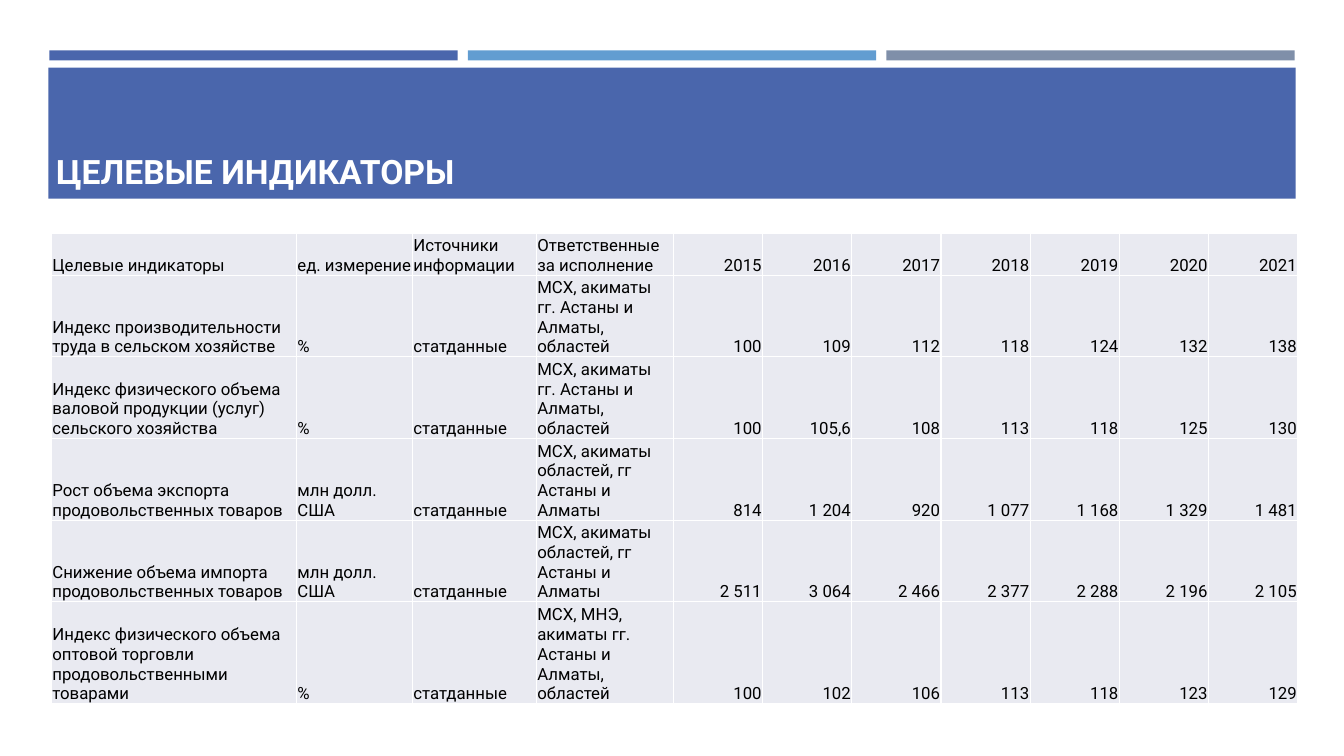
import pptx
import pptx.util
import pptx.dml.color
import pptx.enum.shapes
import pptx.enum.text
import pptx.oxml.ns
import lxml.etree

Inches = pptx.util.Inches
RGBColor = pptx.dml.color.RGBColor
Align = pptx.enum.text.PP_ALIGN
Anchor = pptx.enum.text.MSO_ANCHOR
qn = pptx.oxml.ns.qn

BLUE = RGBColor(0x4A, 0x66, 0xAC)
SKY = RGBColor(0x62, 0x9D, 0xD1)
GREY = RGBColor(0x7F, 0x8F, 0xA9)
PALE = RGBColor(0xE9, 0xEA, 0xF1)
WHITE = RGBColor(0xFF, 0xFF, 0xFF)
BLACK = RGBColor(0, 0, 0)
FONT = "Roboto"


def write(frame, text, size=12, color=BLACK, bold=False, align=Align.LEFT):
    line = frame.paragraphs[0]
    line.alignment = align
    run = line.add_run()
    run.text = text
    run.font.name = FONT
    run.font.size = pptx.util.Pt(size)
    run.font.bold = bold
    run.font.color.rgb = color


class Page:
    def __init__(self, slide):
        self.slide = slide
        self.pad = Inches(0.01)
        self.edge = WHITE

    def bar(self, left, top, width, height, color):
        shape = self.slide.shapes.add_shape(
            pptx.enum.shapes.MSO_SHAPE.RECTANGLE,
            Inches(left), Inches(top), Inches(width), Inches(height))
        shape.shadow.inherit = False
        shape.fill.solid()
        shape.fill.fore_color.rgb = color
        shape.line.fill.background()

    def label(self, left, top, width, height, text, **style):
        box = self.slide.shapes.add_textbox(
            Inches(left), Inches(top), Inches(width), Inches(height))
        box.text_frame.word_wrap = False
        write(box.text_frame, text, **style)

    def border(self, cell):
        props = cell._tc.get_or_add_tcPr()
        for spot, side in enumerate(("lnL", "lnR", "lnT", "lnB")):
            line = lxml.etree.Element(qn("a:" + side), w="12700")
            fill = lxml.etree.SubElement(line, qn("a:solidFill"))
            lxml.etree.SubElement(fill, qn("a:srgbClr"), val=str(self.edge))
            props.insert(spot, line)

    def cell(self, cell, text, align):
        cell.margin_left = cell.margin_right = cell.margin_top = self.pad
        cell.margin_bottom = 0
        cell.vertical_anchor = Anchor.BOTTOM
        cell.fill.solid()
        cell.fill.fore_color.rgb = PALE
        self.border(cell)
        write(cell.text_frame, text, align=align)

    def table(self, left, top, cols, rows, data, words):
        grid = self.slide.shapes.add_table(
            len(rows), len(cols), Inches(left), Inches(top),
            Inches(sum(cols)), Inches(sum(rows))).table
        grid.first_row = grid.horz_banding = False
        for col, width in zip(grid.columns, cols):
            col.width = Inches(width)
        for row, height, texts in zip(grid.rows, rows, data):
            row.height = Inches(height)
            for num, (cell, text) in enumerate(zip(row.cells, texts)):
                self.cell(cell, text, Align.LEFT if num < words else Align.RIGHT)


deck = pptx.Presentation()
deck.slide_width = Inches(13.33)
deck.slide_height = Inches(7.5)
page = Page(deck.slides.add_slide(deck.slide_layouts[6]))

# Three thin bars above the heading band
for num, color in enumerate((BLUE, SKY, GREY)):
    page.bar(0.49 + num * 4.15, 0.5, 4.05, 0.1, color)

# Heading band
page.bar(0.48, 0.67, 12.37, 1.3, BLUE)
page.label(0.46, 1.45, 4.16, 0.5, "ЦЕЛЕВЫЕ ИНДИКАТОРЫ",
           size=24, color=WHITE, bold=True)

# Table of indicators
STATS = "статданные"
CITY = "МСХ, акиматы гг. Астаны и Алматы, областей"
AREA = "МСХ, акиматы областей, гг Астаны и Алматы"
TRADE = "МСХ, МНЭ, акиматы гг. Астаны и Алматы, областей"
USD = "млн долл. США"
data = [
    ["Целевые индикаторы", "ед. измерение", "Источники информации",
     "Ответственные за исполнение", *map(str, range(2015, 2022))],
    ["Индекс производительности труда в сельском хозяйстве", "%", STATS, CITY,
     "100", "109", "112", "118", "124", "132", "138"],
    ["Индекс физического объема валовой продукции (услуг) сельского хозяйства",
     "%", STATS, CITY, "100", "105,6", "108", "113", "118", "125", "130"],
    ["Рост объема экспорта продовольственных товаров", USD, STATS, AREA,
     "814", "1 204", "920", "1 077", "1 168", "1 329", "1 481"],
    ["Снижение объема импорта продовольственных товаров", USD, STATS, AREA,
     "2 511", "3 064", "2 466", "2 377", "2 288", "2 196", "2 105"],
    ["Индекс физического объема оптовой торговли продовольственными товарами",
     "%", STATS, TRADE, "100", "102", "106", "113", "118", "123", "129"],
]
page.table(0.51, 2.32, [2.43, 1.15, 1.23, 1.36] + [0.885] * 7,
           [0.37] + [0.74] * 4 + [0.92], data, words=4)

deck.save("out.pptx")
